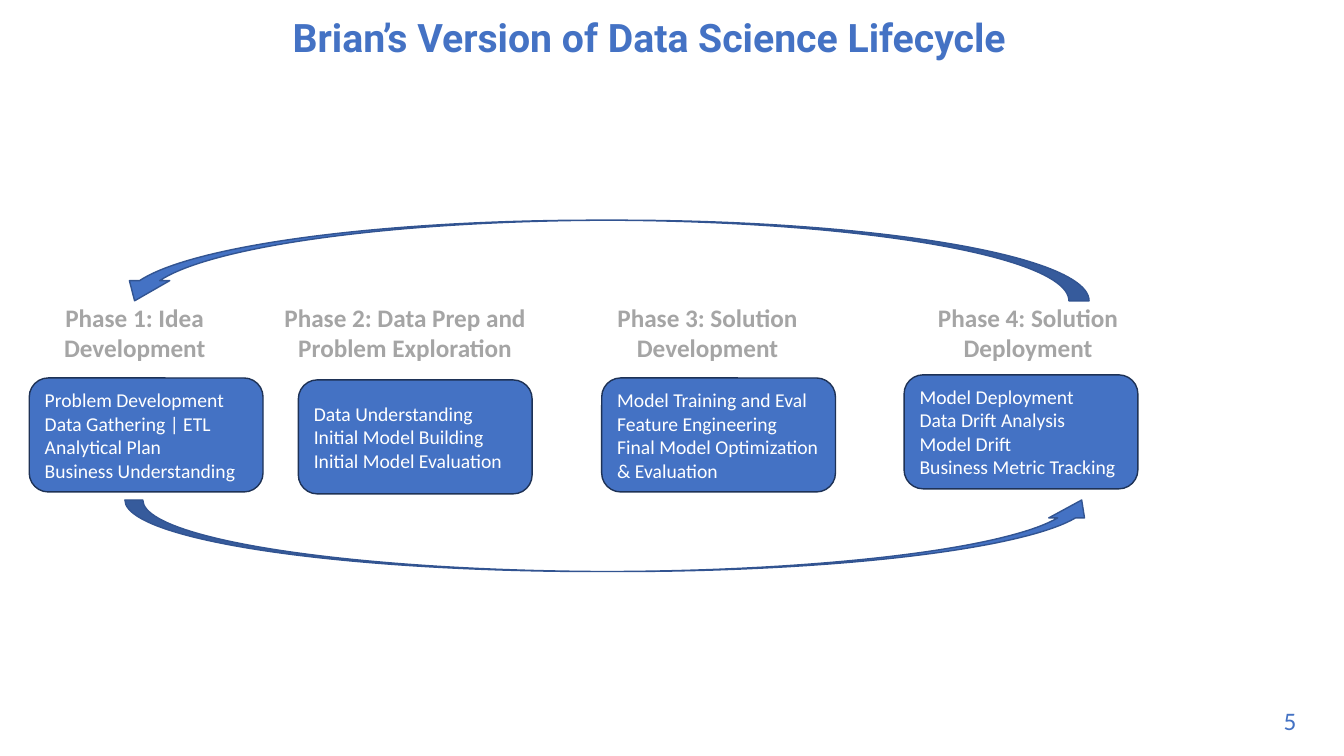
from pptx import Presentation
from pptx.dml.color import RGBColor
from pptx.enum.shapes import MSO_SHAPE
from pptx.enum.text import MSO_ANCHOR, MSO_AUTO_SIZE, PP_ALIGN
from pptx.util import Pt

HUES = {
    "blue": "4472C4",
    "grey": "A5A5A5",
    "white": "FFFFFF",
    "edge": "1E3256",
    "rim": "325491",
}

# Heading, heading left and width, card left and top, card lines
PHASES = [
    ("Phase 1: Idea Development", 38.2, 115.9, 20.9, 270,
     ["Problem Development", "Data Gathering | ETL", "Analytical Plan",
      "Business Understanding"]),
    ("Phase 2: Data Prep and Problem Exploration", 181.4, 216, 213.1, 271.4,
     ["Data Understanding", "Initial Model Building",
      "Initial Model Evaluation"]),
    ("Phase 3: Solution Development", 397.4, 216, 429.8, 270,
     ["Model Training and Eval", "Feature Engineering",
      "Final Model Optimization & Evaluation"]),
    ("Phase 4: Solution Deployment", 638.6, 191.5, 645.8, 267.8,
     ["Model Deployment", "Data Drift Analysis", "Model Drift",
      "Business Metric Tracking"]),
]


def color(name):
    return RGBColor.from_string(HUES[name])


def write(shape, lines, size=18, font="Calibri", hue="blue", bold=False,
          align=PP_ALIGN.LEFT, anchor=MSO_ANCHOR.TOP, space=None):
    """Fill a shape with one paragraph per line."""
    frame = shape.text_frame
    frame.word_wrap = True
    frame.auto_size = MSO_AUTO_SIZE.NONE
    frame.vertical_anchor = anchor
    frame.text = "\n".join(lines)
    for para in frame.paragraphs:
        para.alignment = align
        para.line_spacing = space
        for run in para.runs:
            run.font.size = Pt(size)
            run.font.name = font
            run.font.bold = bold
            run.font.color.rgb = color(hue)


def label(slide, text, left, top, width, height, **style):
    box = slide.shapes.add_textbox(Pt(left), Pt(top), Pt(width), Pt(height))
    write(box, [text], **style)


def block(slide, kind, left, top, width, height, line):
    shape = slide.shapes.add_shape(
        kind, Pt(left), Pt(top), Pt(width), Pt(height))
    shape.shadow.inherit = False
    shape.fill.solid()
    shape.fill.fore_color.rgb = color("blue")
    shape.line.color.rgb = color(line)
    shape.line.width = Pt(1)
    return shape


def card(slide, lines, left, top):
    shape = block(slide, MSO_SHAPE.ROUNDED_RECTANGLE,
                  left, top, 167, 81.4, "edge")
    write(shape, lines, size=14, hue="white", anchor=MSO_ANCHOR.MIDDLE)


def arrow(slide, left, top, width, turn):
    shape = block(slide, MSO_SHAPE.CURVED_RIGHT_ARROW,
                  left, top, width, 696.2, "rim")
    shape.rotation = turn


def main():
    deck = Presentation()
    deck.slide_width, deck.slide_height = Pt(960), Pt(540)
    slide = deck.slides.add_slide(deck.slide_layouts[5])

    # Title
    title = slide.shapes.title
    title.left, title.top = Pt(81.4), Pt(-0.7)
    title.width, title.height = Pt(764.6), Pt(57.6)
    write(title, ["Brian’s Version of Data Science Lifecycle"], size=28,
          font="Roboto", bold=True, align=PP_ALIGN.CENTER,
          anchor=MSO_ANCHOR.MIDDLE, space=0.9)

    # Page number
    label(slide, "5", 717.1, 500.4, 216, 28.8, align=PP_ALIGN.RIGHT)

    # Loop arrows, above and below the phases
    arrow(slide, 401, -162, 57.6, 90)
    arrow(slide, 411.8, 34.6, 51.1, 270)

    # Phases
    for head, start, width, left, top, lines in PHASES:
        label(slide, head, start, 212.4, width, 51.1, hue="grey", bold=True,
              align=PP_ALIGN.CENTER)
        card(slide, lines, left, top)

    deck.save("out.pptx")


if __name__ == "__main__":
    main()
